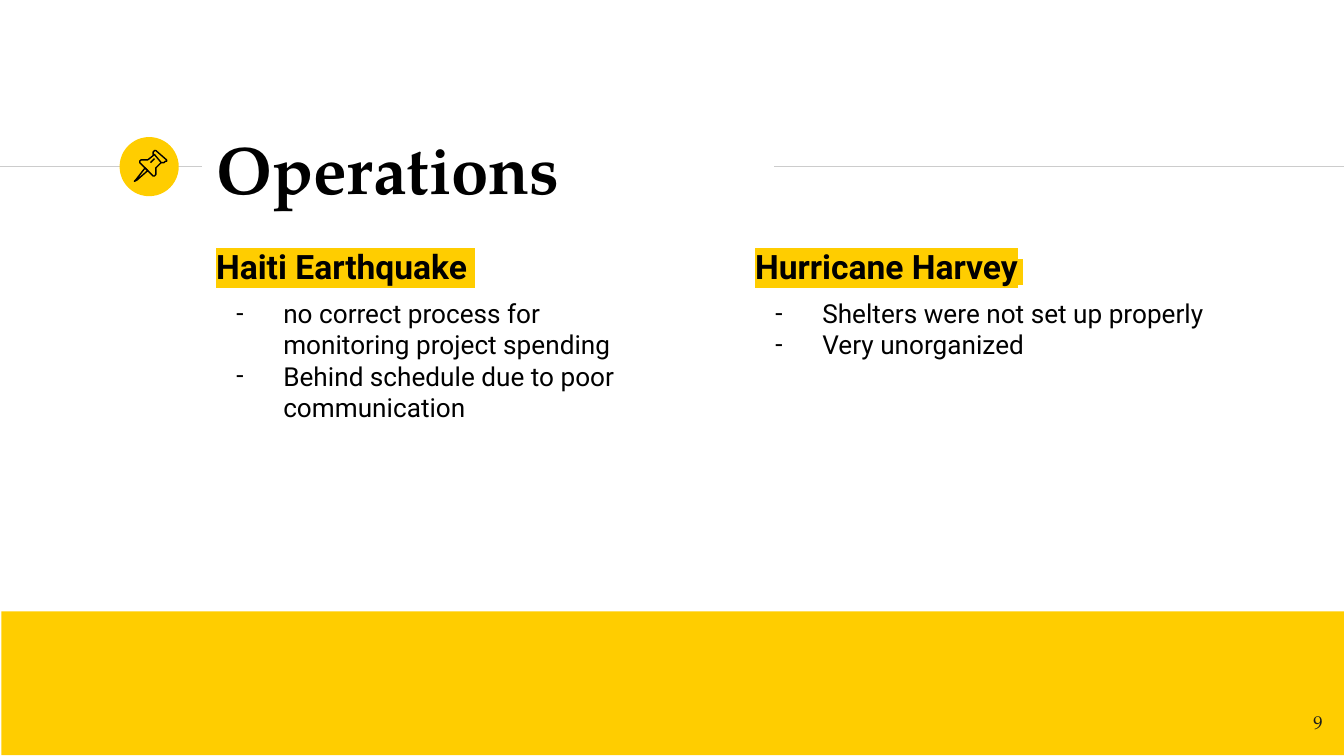
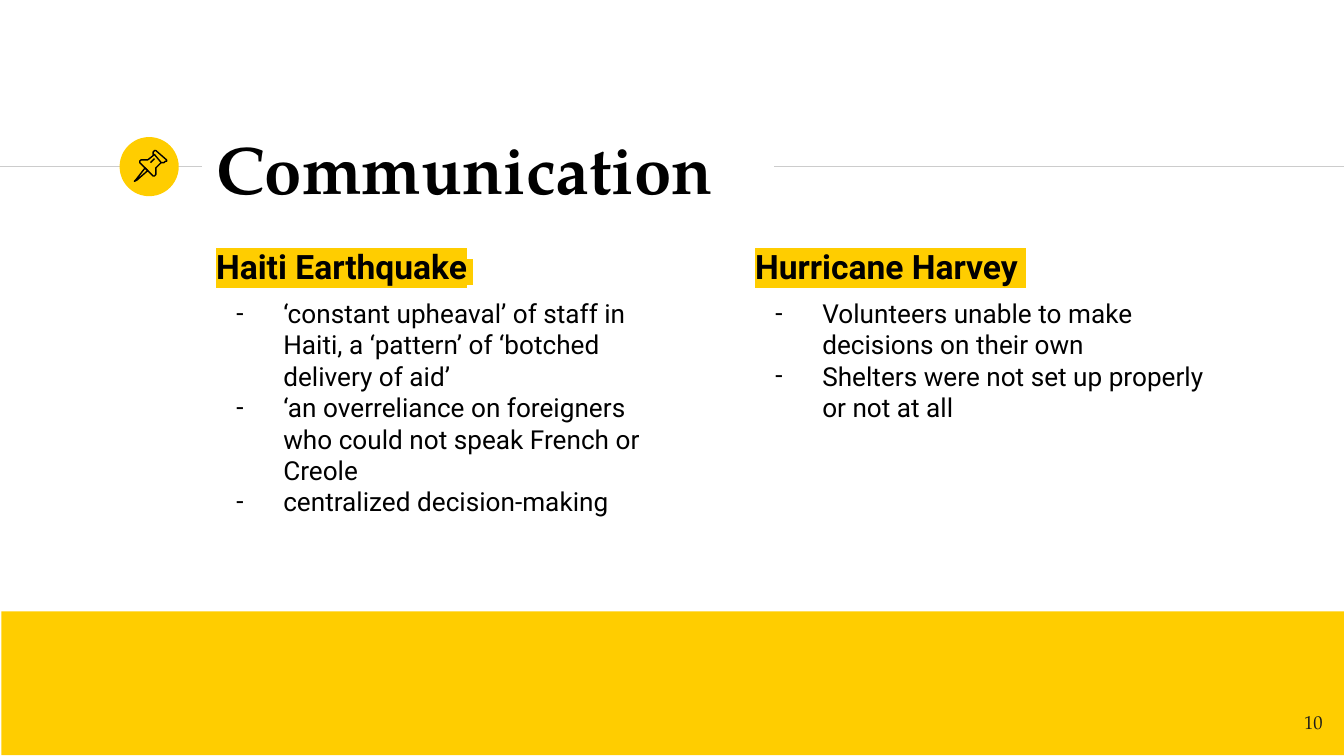
from lxml.etree import SubElement
from pptx import Presentation
from pptx.dml.color import RGBColor
from pptx.enum.shapes import MSO_CONNECTOR, MSO_SHAPE
from pptx.enum.text import MSO_ANCHOR, MSO_AUTO_SIZE, PP_ALIGN
from pptx.oxml.ns import qn
from pptx.util import Inches, Pt

YELLOW, BLACK, GREY, INK = "FFCD00", "000000", "CCCCCC", "1D1D1B"
SERIF, SANS = "TeX Gyre Pagella", "Roboto"

HAITI, HARVEY = "Haiti Earthquake", "Hurricane Harvey"
TOPICS = [
    {
        "title": "Operations",
        "number": 9,
        "columns": [
            (HAITI, 18, [
                "no correct process for monitoring project spending",
                "Behind schedule due to poor communication",
            ]),
            (HARVEY, 12, [
                "Shelters were not set up properly",
                "Very unorganized",
            ]),
        ],
    },
    {
        "title": "Communication",
        "number": 10,
        "columns": [
            (HAITI, 12, [
                "‘constant upheaval’ of staff in Haiti, a ‘pattern’ of ‘botched delivery of aid’",
                "‘an overreliance on foreigners who could not speak French or Creole",
                "centralized decision-making",
            ]),
            (HARVEY, 18, [
                "Volunteers unable to make decisions on their own",
                "Shelters were not set up properly or not at all",
            ]),
        ],
    },
]

PAGE_WIDTH = Inches(10)
PAGE_HEIGHT = PAGE_WIDTH * 9 // 16
COLUMN_BOXES = [(1.51, 1.73, 3.53, 2.41), (5.52, 1.73, 3.68, 2.41)]
TITLE_BOX = (1.51, 1.01, 4.24, 0.48)
NUMBER_BOX = (9.34, 5.19, 0.6, 0.43)
RULE_Y = 1.24
RULE_SPANS = [(0, 1.5), (5.76, 10)]
BADGE = (MSO_SHAPE.OVAL, (0.89, 1.02, 0.44, 0.44))
BAND = (MSO_SHAPE.RECTANGLE, (0.01, 4.55, 10, 1.07))

PIN_UNIT = Inches(0.01)
PIN_NEEDLE = [(108, 125), (101, 134), (100, 135), (102, 134), (110, 127)]
PIN_HEAD = [(115, 115), (120, 121), (122, 121), (123, 120), (124, 120),
            (124, 119), (116, 112), (115, 112), (114, 113), (114, 115)]
PIN_BODY = [(115, 115), (110, 119), (108, 119), (105, 119), (104, 120),
            (104, 121), (114, 131), (115, 131), (116, 130), (116, 125), (120, 121)]
PIN_SHINE = [(112, 121), (115, 118)]
PIN = [(PIN_NEEDLE, True), (PIN_HEAD, True), (PIN_BODY, False), (PIN_SHINE, False)]


def color(value):
    return RGBColor.from_string(value)


def inches(box):
    return [Inches(length) for length in box]


def set_all(target, values):
    for key, value in values.items():
        setattr(target, key, value)


def set_frame(frame, anchor=MSO_ANCHOR.TOP):
    margins = {f"margin_{side}": Inches(0.1) for side in ("left", "top", "right", "bottom")}
    set_all(frame, {"word_wrap": True, "auto_size": MSO_AUTO_SIZE.NONE,
                    "vertical_anchor": anchor, **margins})
    return frame


def add_run(paragraph, text, size, face, ink=BLACK, bold=False, highlight=None):
    run = paragraph.add_run()
    run.text = text
    set_all(run.font, {"size": Pt(size), "name": face, "bold": bold})
    run.font.color.rgb = color(ink)
    if highlight:
        properties = run.font._element
        marker = SubElement(properties, qn("a:highlight"))
        SubElement(marker, qn("a:srgbClr"), val=highlight)
        properties.find(qn("a:latin")).addprevious(marker)


def add_dash(paragraph):
    properties = paragraph._p.get_or_add_pPr()
    properties.set("marL", str(Inches(0.5)))
    properties.set("indent", str(Inches(-0.35)))
    tint = SubElement(properties, qn("a:buClr"))
    SubElement(tint, qn("a:srgbClr"), val=BLACK)
    SubElement(properties, qn("a:buFont"), typeface=SANS)
    SubElement(properties, qn("a:buChar"), char="-")


def add_filled(slide, preset, box):
    filled = slide.shapes.add_shape(preset, *inches(box))
    filled.shadow.inherit = False
    filled.fill.solid()
    filled.fill.fore_color.rgb = color(YELLOW)
    filled.line.fill.background()


def add_rule(slide, start, end):
    rule = slide.shapes.add_connector(MSO_CONNECTOR.STRAIGHT,
                                      *inches((start, RULE_Y, end, RULE_Y)))
    rule.line.color.rgb = color(GREY)
    rule.line.width = Pt(0.75)
    SubElement(rule._element.spPr, qn("a:effectLst"))


def add_pin(slide):
    pin = slide.shapes.add_group_shape()
    for points, closed in PIN:
        builder = pin.shapes.build_freeform(*points[0], scale=PIN_UNIT)
        builder.add_line_segments(points[1:], close=closed)
        outline = builder.convert_to_shape()
        outline.shadow.inherit = False
        outline.fill.background()
        outline.line.color.rgb = color(BLACK)
        outline.line.width = Pt(0.75)


def add_title(slide, text):
    title = slide.shapes.title
    set_all(title, dict(zip(("left", "top", "width", "height"), inches(TITLE_BOX))))
    paragraph = set_frame(title.text_frame, MSO_ANCHOR.MIDDLE).paragraphs[0]
    paragraph.alignment = PP_ALIGN.LEFT
    add_run(paragraph, text, 36, SERIF, bold=True)
    add_run(paragraph, " ", 20, SERIF, bold=True)


def add_column(slide, box, heading, tail_size, points):
    frame = set_frame(slide.shapes.add_textbox(*inches(box)).text_frame)
    top = frame.paragraphs[0]
    top.space_before = Pt(6)
    for text, size in ((heading, 18), (" ", tail_size)):
        add_run(top, text, size, SANS, bold=True, highlight=YELLOW)
    for index, point in enumerate(points):
        paragraph = frame.add_paragraph()
        paragraph.space_before = Pt(0 if index else 6)
        add_dash(paragraph)
        add_run(paragraph, point, 14, SANS)


def add_number(slide, number):
    frame = set_frame(slide.shapes.add_textbox(*inches(NUMBER_BOX)).text_frame)
    frame.paragraphs[0].alignment = PP_ALIGN.RIGHT
    add_run(frame.paragraphs[0], str(number), 10, SERIF, INK)


def add_topic(deck, topic):
    slide = deck.slides.add_slide(deck.slide_layouts[5])
    for span in RULE_SPANS:
        add_rule(slide, *span)
    for preset, box in (BADGE, BAND):
        add_filled(slide, preset, box)
    add_title(slide, topic["title"])
    add_pin(slide)
    for box, column in zip(COLUMN_BOXES, topic["columns"]):
        add_column(slide, box, *column)
    add_number(slide, topic["number"])


def main():
    deck = Presentation()
    set_all(deck, {"slide_width": PAGE_WIDTH, "slide_height": PAGE_HEIGHT})
    for topic in TOPICS:
        add_topic(deck, topic)
    deck.save("out.pptx")


if __name__ == "__main__":
    main()
